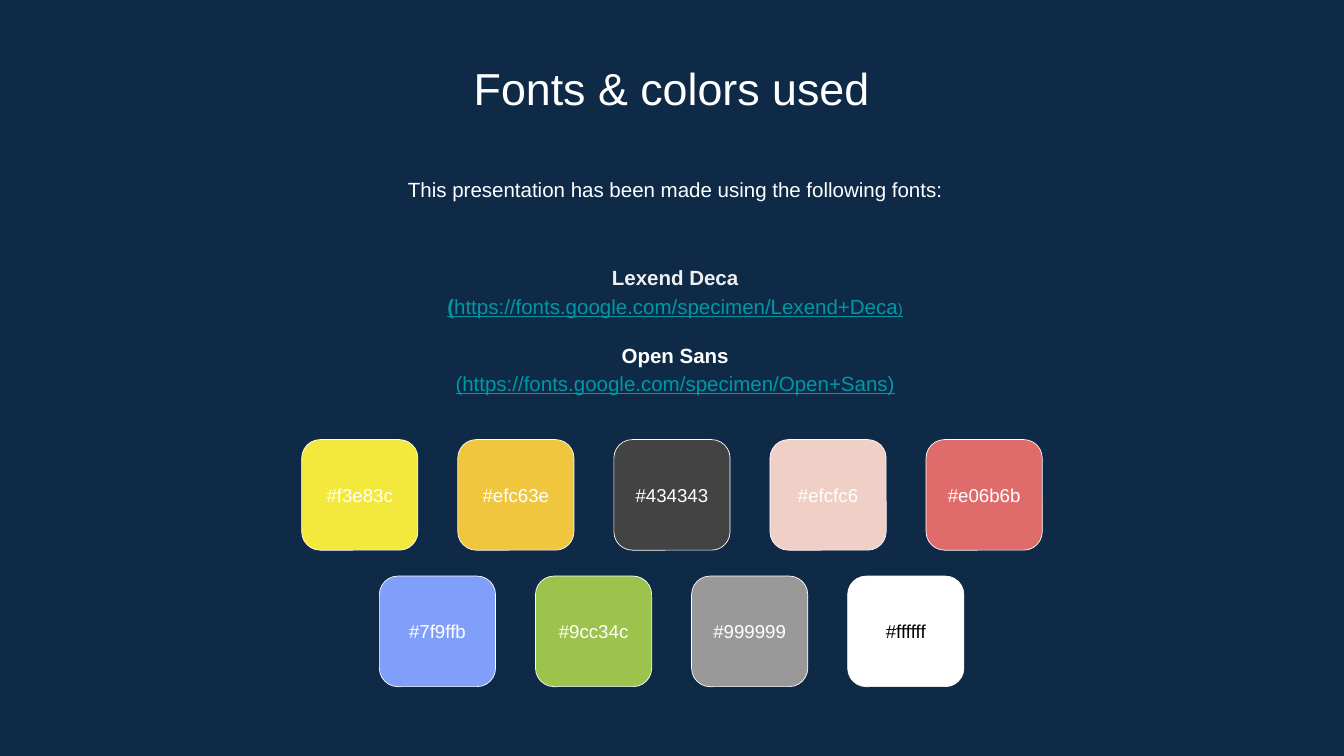
from dataclasses import dataclass

from pptx import Presentation, util as u
from pptx.dml.color import RGBColor
from pptx.enum import shapes, text

PX = 9525
SLIDE_W, SLIDE_H = 1920, 1080


@dataclass(frozen=True)
class Theme:
    font: str = "Arial"
    background: str = "0E2A47"
    light: str = "FFFFFF"
    soft: str = "EFEFEF"
    dark: str = "000000"
    link: str = "0097A7"
    title: int = 48
    body: int = 22
    label: int = 20
    small: int = 16


class Deck:
    def __init__(self, theme):
        self.theme = theme
        self.presentation = Presentation()
        self.presentation.slide_width = SLIDE_W * PX
        self.presentation.slide_height = SLIDE_H * PX
        self.slide = self.presentation.slides.add_slide(self.presentation.slide_layouts[6])
        fill = self.slide.background.fill
        fill.solid()
        fill.fore_color.rgb = RGBColor.from_string(theme.background)

    def format_run(self, run, size, color, bold=False, underline=False):
        run.font.name = self.theme.font
        run.font.size = u.Pt(size)
        run.font.color.rgb = RGBColor.from_string(color)
        run.font.bold = bold
        run.font.underline = underline

    def text_box(self, box, paragraphs, anchor=text.MSO_ANCHOR.TOP, spacing=1.0):
        frame = self.slide.shapes.add_textbox(*(n * PX for n in box)).text_frame
        frame.word_wrap = True
        frame.vertical_anchor = anchor
        frame.margin_left = frame.margin_right = u.Inches(0.2)
        frame.margin_top = frame.margin_bottom = u.Inches(0.2)
        for index, (before, runs) in enumerate(paragraphs):
            paragraph = frame.add_paragraph() if index else frame.paragraphs[0]
            paragraph.alignment = text.PP_ALIGN.CENTER
            paragraph.line_spacing = spacing
            paragraph.space_before = u.Pt(before)
            for words, *style in runs:
                run = paragraph.add_run()
                run.text = words
                self.format_run(run, *style)

    def swatch(self, x, y, width, height, code):
        tile = self.slide.shapes.add_shape(
            shapes.MSO_SHAPE.ROUNDED_RECTANGLE, x * PX, y * PX, width * PX, height * PX)
        tile.shadow.inherit = False
        tile.adjustments[0] = 0.167
        tile.fill.solid()
        tile.fill.fore_color.rgb = RGBColor.from_string(code[1:].upper())
        tile.line.color.rgb = RGBColor.from_string(self.theme.light)
        tile.line.width = u.Pt(0.75)
        color = self.theme.dark if code == "#ffffff" else self.theme.light
        label_height = 92
        label_box = (x, y + (height - label_height) // 2, width, label_height)
        self.text_box(label_box, [(0, [(code, self.theme.label, color)])],
                      text.MSO_ANCHOR.MIDDLE)

    def swatch_row(self, y, codes):
        width, height, step = 166, 158, 223
        left = (SLIDE_W - step * (len(codes) - 1) - width) // 2
        for column, code in enumerate(codes):
            self.swatch(left + column * step, y, width, height, code)


def main():
    theme = Theme()
    deck = Deck(theme)
    deck.text_box((220, 68, 1479, 102),
                  [(0, [("Fonts & colors used", theme.title, theme.light)])])
    deck.text_box((225, 228, 1479, 92),
                  [(0, [("This presentation has been made using the following fonts:",
                         theme.body, theme.light)])], spacing=1.15)
    font_list = [
        (0, [("Lexend Deca", theme.body, theme.soft, True)]),
        (0, [("(", theme.body, theme.link, True, True),
             ("https://fonts.google.com/specimen/Lexend+Deca",
              theme.body, theme.link, False, True),
             (")", theme.small, theme.link, False, True)]),
        (22, [("Open Sans", theme.body, theme.light, True)]),
        (0, [("(https://fonts.google.com/specimen/Open+Sans)",
              theme.body, theme.link, False, True)]),
    ]
    deck.text_box((225, 338, 1479, 263), font_list, text.MSO_ANCHOR.MIDDLE, 1.15)
    deck.swatch_row(628, ["#f3e83c", "#efc63e", "#434343", "#efcfc6", "#e06b6b"])
    deck.swatch_row(823, ["#7f9ffb", "#9cc34c", "#999999", "#ffffff"])
    deck.presentation.save("out.pptx")


if __name__ == "__main__":
    main()
